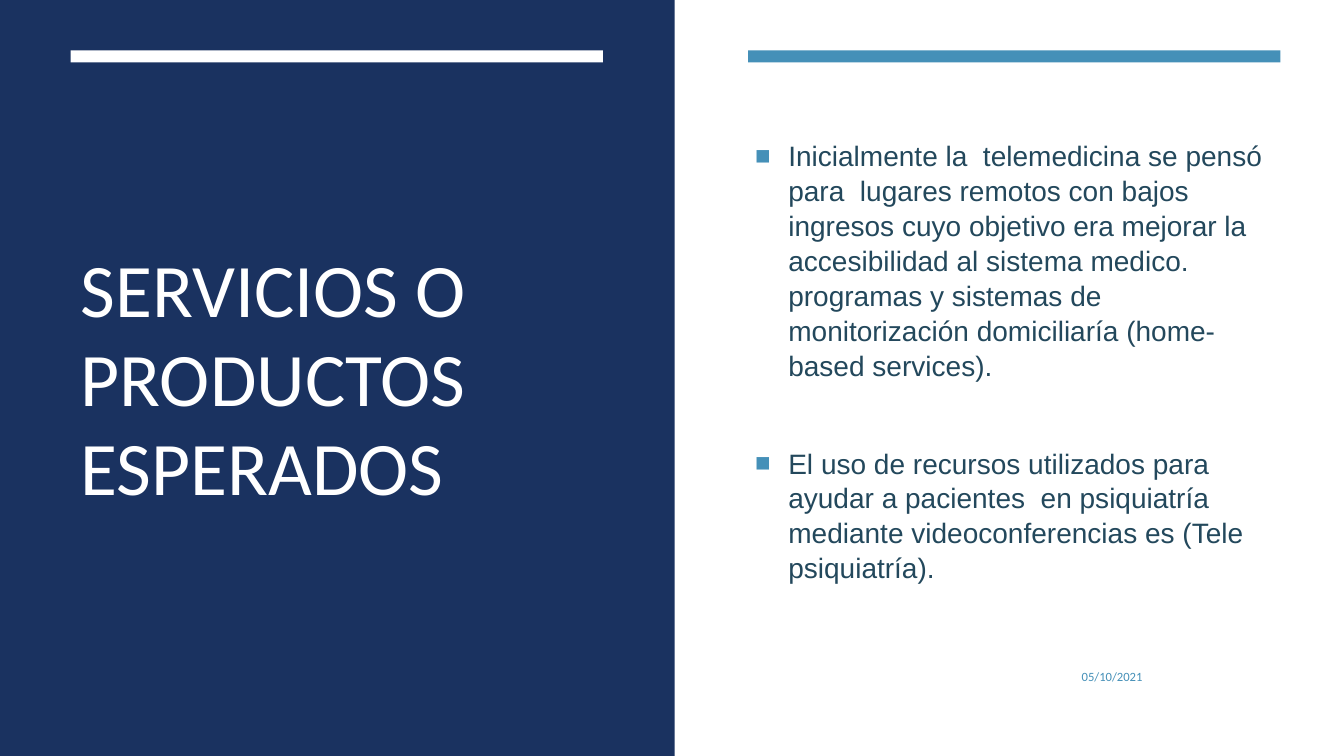
from dataclasses import dataclass

from lxml.etree import SubElement as Sub
from pptx import Presentation
from pptx.dml.color import RGBColor as Rgb
from pptx.enum.shapes import MSO_SHAPE as Kind
from pptx.enum.text import MSO_ANCHOR as Anchor, MSO_AUTO_SIZE as Auto, PP_ALIGN as Align
from pptx.oxml.ns import qn
from pptx.util import Emu, Pt

SCALE = 9144


@dataclass(frozen=True)
class Theme:
    navy: str = "1A3260"
    white: str = "FFFFFF"
    blue: str = "4590B8"
    ink: str = "23485C"
    head: str = "Calibri"
    body: str = "Arial"
    big: int = 54
    mid: int = 20
    small: int = 9


THEME = Theme()

POINTS = (
    "Inicialmente la  telemedicina se pensó  para  lugares remotos con bajos "
    "ingresos cuyo objetivo era mejorar la accesibilidad al sistema medico. "
    "programas y sistemas de monitorización domiciliaría (home-based services).",
    "El uso de recursos utilizados para ayudar a pacientes  en psiquiatría "
    "mediante videoconferencias es (Tele psiquiatría).",
)


def px(num):
    return Emu(num * SCALE)


def rect(slide, box, fill):
    shape = slide.shapes.add_shape(Kind.RECTANGLE, *map(px, box))
    shape.shadow.inherit = False
    shape.fill.solid()
    shape.fill.fore_color.rgb = Rgb.from_string(fill)
    shape.line.fill.background()


def frame(shape):
    area = shape.text_frame
    area.word_wrap = True
    area.auto_size = Auto.NONE
    area.vertical_anchor = Anchor.MIDDLE
    return area


def field(slide, box):
    return frame(slide.shapes.add_textbox(*map(px, box)))


def bullet(para, color):
    props = para._p.get_or_add_pPr()
    props.set("marL", str(px(33)))
    props.set("indent", str(-px(33)))
    tint = Sub(props, qn("a:buClr"))
    Sub(tint, qn("a:srgbClr"), val=color)
    Sub(props, qn("a:buSzPct"), val="92000")
    Sub(props, qn("a:buFont"), typeface=THEME.body)
    Sub(props, qn("a:buChar"), char="■")


def write(para, text, *, size, face, color, align=Align.LEFT, lead=1.0, gap=0, mark=None):
    para.alignment = align
    para.line_spacing = lead
    para.space_before = Pt(gap)
    if mark:
        bullet(para, mark)
    run = para.add_run()
    run.text = text
    run.font.size = Pt(size)
    run.font.name = face
    run.font.color.rgb = Rgb.from_string(color)


def title(slide, box, text):
    shape = slide.shapes.title
    shape.left, shape.top, shape.width, shape.height = map(px, box)
    shape.element.getparent().append(shape.element)
    write(frame(shape).paragraphs[0], text, size=THEME.big, face=THEME.head,
          color=THEME.white, lead=0.98)


def points(slide, box, items):
    area = field(slide, box)
    area.margin_bottom = px(43)
    for spot, text in enumerate(items):
        para = area.add_paragraph() if spot else area.paragraphs[0]
        write(para, text, size=THEME.mid, face=THEME.body, color=THEME.ink,
              lead=1.04, gap=45 if spot else 0, mark=THEME.blue)


def main():
    deck = Presentation()
    deck.slide_width, deck.slide_height = px(1333), px(750)
    slide = deck.slides.add_slide(deck.slide_layouts[5])
    rect(slide, (0, 0, 669, 750), THEME.navy)
    title(slide, (70, 113, 528, 528), "SERVICIOS O PRODUCTOS ESPERADOS")
    for left, fill in ((70, THEME.white), (742, THEME.blue)):
        rect(slide, (left, 50, 528, 12), fill)
    points(slide, (739, 113, 531, 528), POINTS)
    date = field(slide, (832, 651, 311, 40))
    write(date.paragraphs[0], "05/10/2021", size=THEME.small, face=THEME.head,
          color=THEME.blue, align=Align.RIGHT)
    deck.save("out.pptx")


if __name__ == "__main__":
    main()
